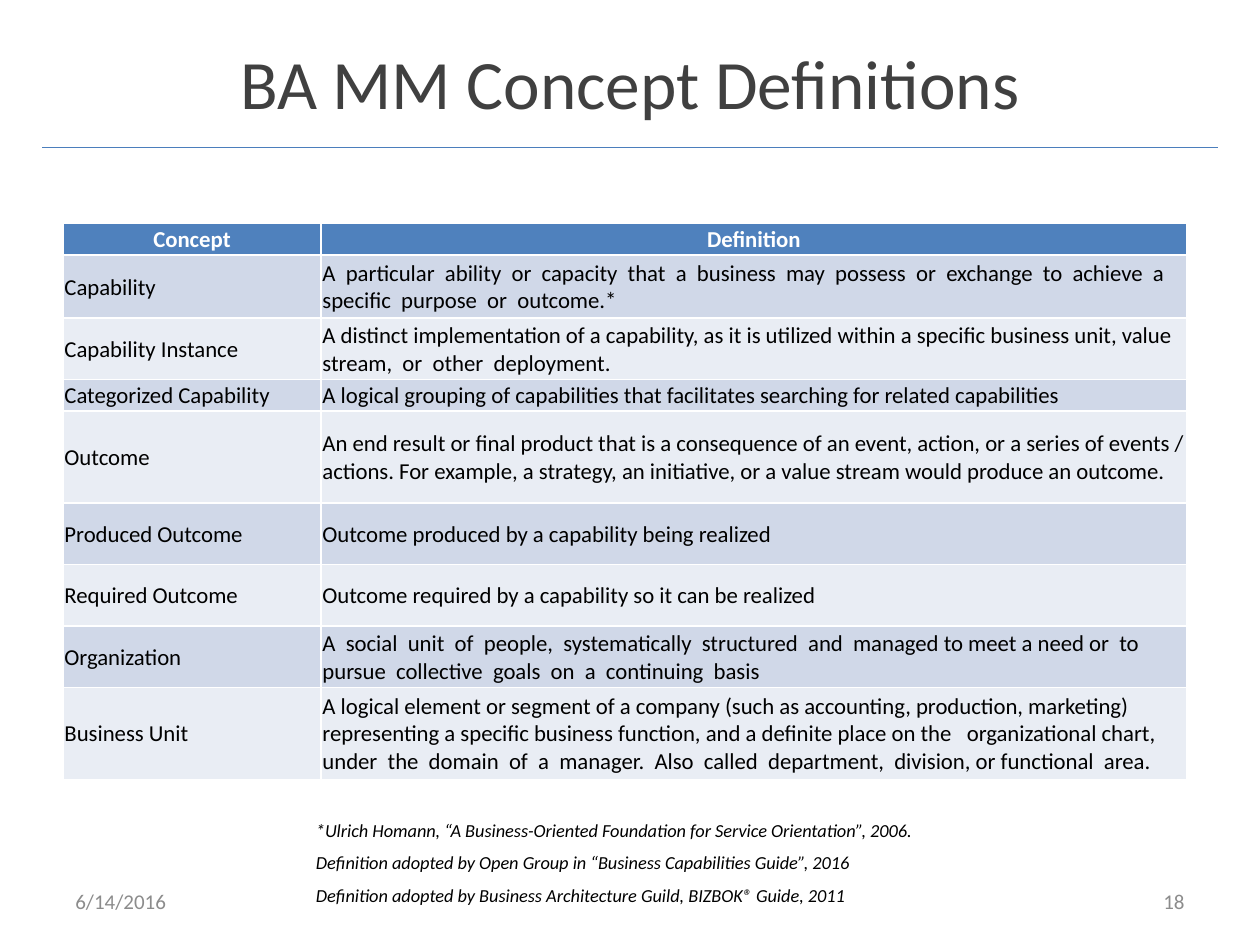
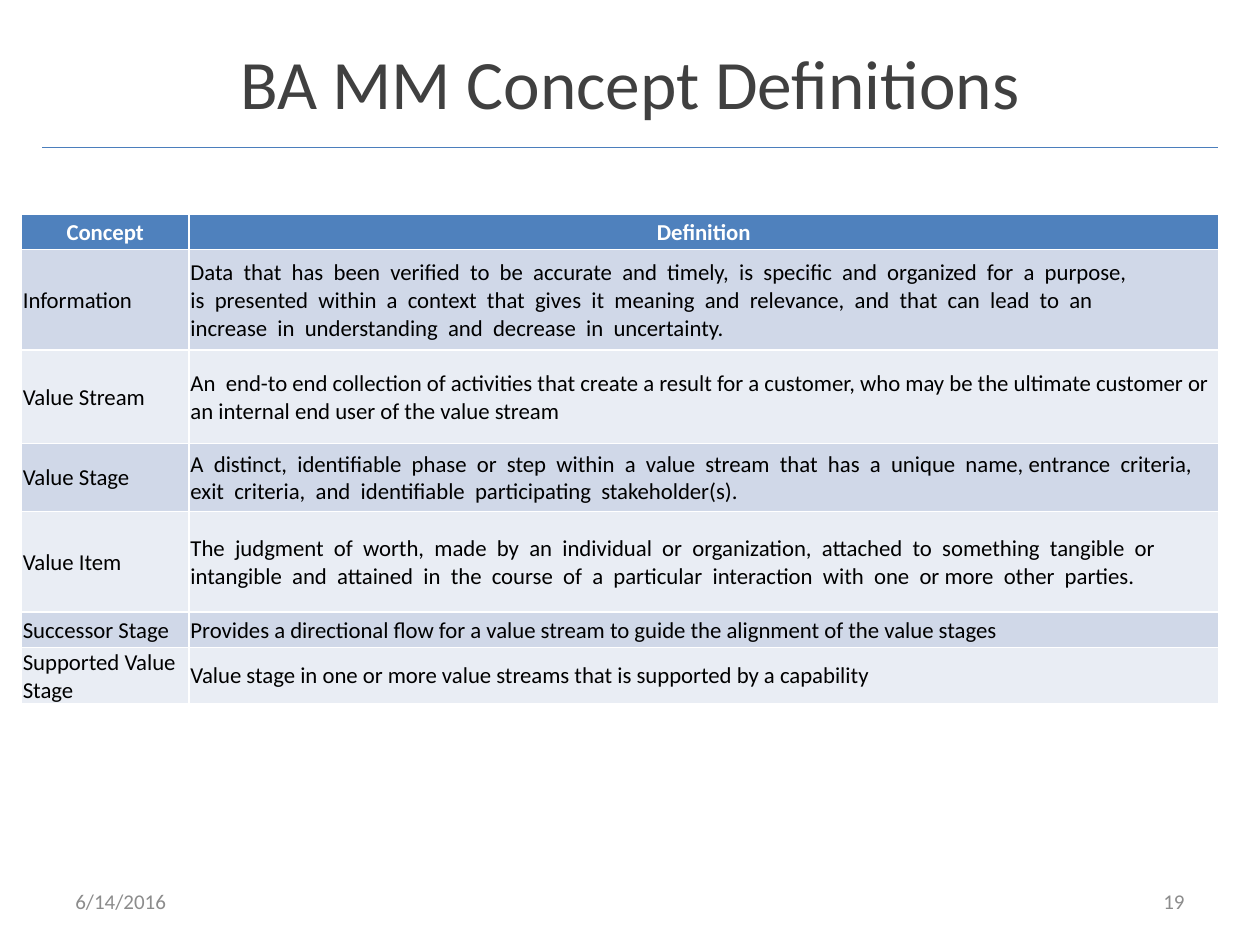
from lxml import etree
from pptx import Presentation
from pptx.dml.color import RGBColor
from pptx.enum.shapes import MSO_CONNECTOR
from pptx.enum.text import MSO_ANCHOR as Anchor, MSO_AUTO_SIZE as Fit, PP_ALIGN as Align
from pptx.oxml.ns import qn
from pptx.util import Cm, Pt

FONT = "Calibri"
WHITE = RGBColor(0xFF, 0xFF, 0xFF)
BLACK = RGBColor(0x00, 0x00, 0x00)
TITLE = RGBColor(0x40, 0x40, 0x40)
GREY = RGBColor(0x8C, 0x8C, 0x8C)
RULE = RGBColor(0x4B, 0x7E, 0xBC)
HEAD = RGBColor(0x4F, 0x81, 0xBD)
BANDS = (RGBColor(0xD0, 0xD8, 0xE8), RGBColor(0xE9, 0xED, 0xF4))

# Each row: height in cm, concept, definition
BUSINESS = [
    (1.27, "Capability",
     "A  particular  ability  or  capacity  that  a  business  may  possess  or  exchange  to  "
     "achieve  a  specific  purpose  or  outcome.*"),
    (1.24, "Capability Instance",
     "A distinct implementation of a capability, as it is utilized within a specific business "
     "unit, value  stream,  or  other  deployment."),
    (0.64, "Categorized Capability",
     "A logical grouping of capabilities that facilitates searching for related capabilities"),
    (1.85, "Outcome",
     "An end result or final product that is a consequence of an event, action, or a series of "
     "events / actions. For example, a strategy, an initiative, or a value stream would produce "
     "an outcome."),
    (1.24, "Produced Outcome", "Outcome produced by a capability being realized"),
    (1.24, "Required Outcome", "Outcome required by a capability so it can be realized"),
    (1.24, "Organization",
     "A  social  unit  of  people,  systematically  structured  and  managed to meet a need or  "
     "to  pursue  collective  goals  on  a  continuing  basis"),
    (1.85, "Business Unit",
     "A logical element or segment of a company (such as accounting, production, marketing) "
     "representing a specific business function, and a definite place on the   organizational "
     "chart, under  the  domain  of  a  manager.  Also  called  department,  division, or "
     "functional  area."),
]
VALUE = [
    (2.03, "Information",
     "Data  that  has  been  verified  to  be  accurate  and  timely,  is  specific  and  "
     "organized  for  a  purpose,\n"
     "is  presented  within  a  context  that  gives  it  meaning  and  relevance,  and  that  "
     "can  lead  to  an\n"
     "increase  in  understanding  and  decrease  in  uncertainty."),
    (1.88, "Value Stream",
     "An  end-to end collection of activities that create a result for a customer, who may be "
     "the ultimate customer or an internal end user of the value stream"),
    (1.37, "Value Stage",
     "A  distinct,  identifiable  phase  or  step  within  a  value  stream  that  has  a  "
     "unique  name, entrance  criteria,  exit  criteria,  and  identifiable  participating  "
     "stakeholder(s)."),
    (2.03, "Value Item",
     "The  judgment  of  worth,  made  by  an  individual  or  organization,  attached  to  "
     "something  tangible  or  intangible  and  attained  in  the  course  of  a  particular  "
     "interaction  with  one  or more  other  parties."),
    (0.71, "Successor Stage",
     "Provides a directional flow for a value stream to guide the alignment of the value stages"),
    (0.71, "Supported Value Stage",
     "Value stage in one or more value streams that is supported by a capability"),
]
SOURCES = (
    "*Ulrich Homann, “A Business-Oriented Foundation for Service Orientation”, 2006.\n"
    "Definition adopted by Open Group in “Business Capabilities Guide”, 2016\n"
    "Definition adopted by Business Architecture Guild, BIZBOK® Guide, 2011"
)


def style(frame, size, color, align=Align.LEFT, bold=False, italic=False):
    for para in frame.paragraphs:
        para.alignment = align
        for run in para.runs:
            font = run.font
            font.name, font.size = FONT, Pt(size)
            font.bold, font.italic = bold, italic
            font.color.rgb = color


def add_text(slide, text, box, size, color, align=Align.LEFT, italic=False):
    frame = slide.shapes.add_textbox(*map(Cm, box)).text_frame
    frame.text = text
    frame.word_wrap = True
    frame.vertical_anchor = Anchor.MIDDLE
    style(frame, size, color, align, italic=italic)
    return frame


def add_rule(slide):
    line = slide.shapes.add_connector(
        MSO_CONNECTOR.STRAIGHT, Cm(0.85), Cm(2.97), Cm(24.55), Cm(2.97))
    line.line.color.rgb = RULE
    line.line.width = Pt(0.75)
    etree.SubElement(line._element.spPr, qn("a:effectLst"))


def add_page(deck, number):
    """Add a slide with the shared title, rule, date and page number."""
    slide = deck.slides.add_slide(deck.slide_layouts[6])
    add_rule(slide)
    add_text(slide, "BA MM Concept Definitions", (1.27, 0.76, 22.86, 1.78),
             39.6, TITLE, Align.CENTER)
    add_text(slide, "6/14/2016", (1.27, 17.65, 5.92, 1.02), 12, GREY)
    add_text(slide, str(number), (18.21, 17.65, 5.92, 1.02), 12, GREY, Align.RIGHT)
    return slide


def fill_cell(cell, text, fill, color, **look):
    cell.text_frame.text = text
    cell.vertical_anchor = Anchor.MIDDLE
    cell.margin_left = cell.margin_right = cell.margin_top = Cm(0.03)
    cell.margin_bottom = 0
    cell.fill.solid()
    cell.fill.fore_color.rgb = fill
    style(cell.text_frame, 13, color, **look)


def add_terms(slide, left, top, widths, head, terms):
    """Add a table of concepts under a header row of height head."""
    rows = [(head, "Concept", "Definition"), *terms]
    high = sum(row[0] for row in rows)
    table = slide.shapes.add_table(
        len(rows), 2, Cm(left), Cm(top), Cm(sum(widths)), Cm(high)).table
    for col, width in zip(table.columns, widths):
        col.width = Cm(width)
    for i, (height, *texts) in enumerate(rows):
        table.rows[i].height = Cm(height)
        for j, text in enumerate(texts):
            cell = table.cell(i, j)
            if i == 0:
                fill_cell(cell, text, HEAD, WHITE, align=Align.CENTER, bold=True)
            else:
                fill_cell(cell, text, BANDS[(i - 1) % 2], BLACK)


def add_sources(slide):
    frame = add_text(slide, SOURCES, (6.12, 16.38, 12.93, 2.03), 10.5, BLACK, italic=True)
    frame.word_wrap = False
    frame.auto_size = Fit.SHAPE_TO_FIT_TEXT
    frame.vertical_anchor = Anchor.TOP
    for para in frame.paragraphs:
        para.space_after = Pt(6)


def main():
    deck = Presentation()
    deck.slide_width, deck.slide_height = Cm(25.4), Cm(19.05)

    slide = add_page(deck, 18)
    add_terms(slide, 1.27, 4.5, (5.2, 17.45), 0.64, BUSINESS)
    add_sources(slide)

    slide = add_page(deck, 19)
    add_terms(slide, 0.43, 4.32, (3.38, 20.75), 0.71, VALUE)

    deck.save("out.pptx")


if __name__ == "__main__":
    main()
